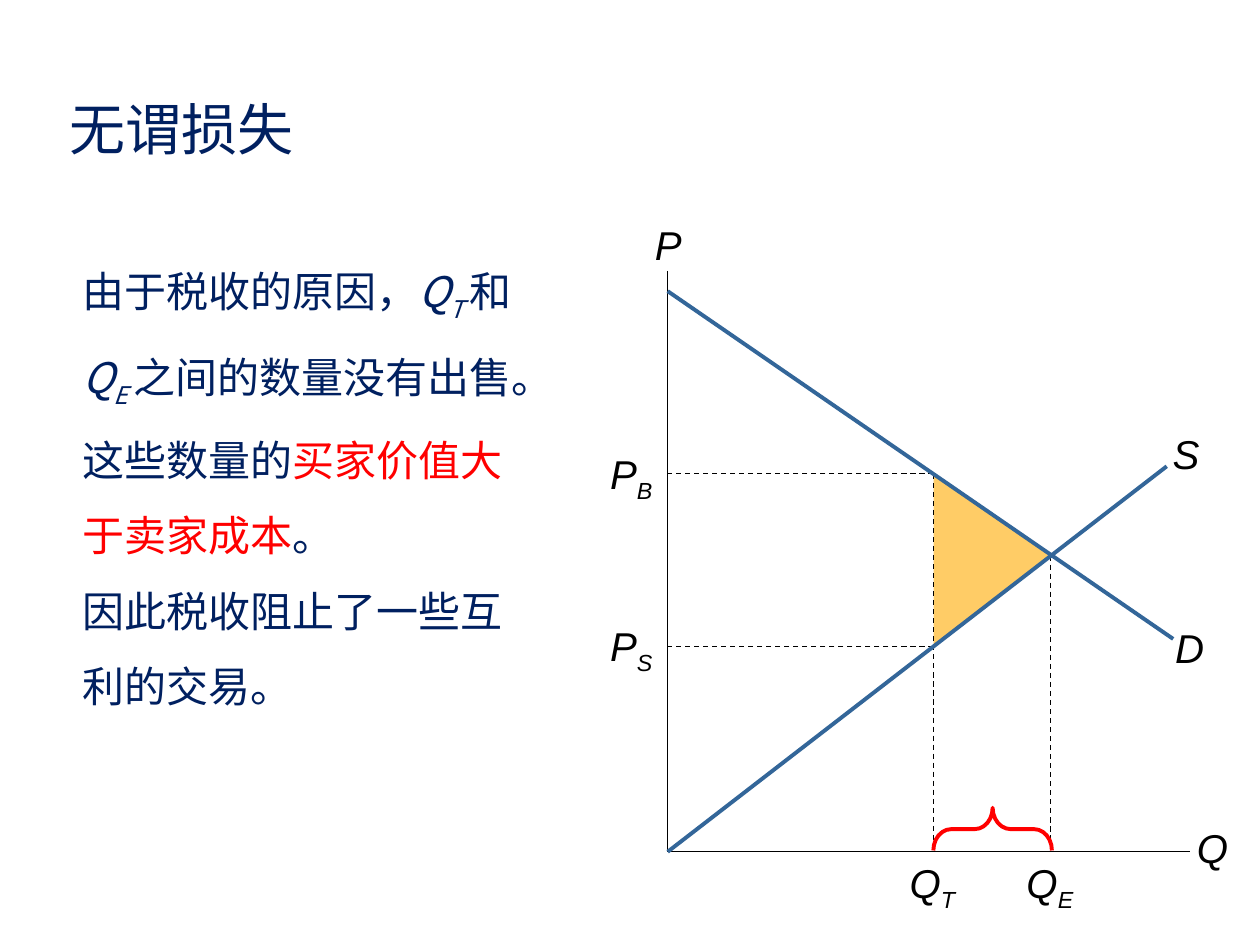
from lxml import etree
from pptx import Presentation
from pptx.dml.color import RGBColor
from pptx.enum.dml import MSO_LINE
from pptx.enum.shapes import MSO_CONNECTOR, MSO_SHAPE
from pptx.enum.text import MSO_ANCHOR, MSO_AUTO_SIZE, PP_ALIGN
from pptx.oxml.ns import qn
from pptx.util import Cm, Pt

STRAIGHT = MSO_CONNECTOR.STRAIGHT
DASH = MSO_LINE.DASH
TRIANGLE, BRACE = MSO_SHAPE.ISOSCELES_TRIANGLE, MSO_SHAPE.LEFT_BRACE
LEFT, CENTER = PP_ALIGN.LEFT, PP_ALIGN.CENTER
TOP = MSO_ANCHOR.TOP
NO_FIT = MSO_AUTO_SIZE.NONE

COLORS = {
    name: RGBColor.from_string(value)
    for name, value in {
        "navy": "002060",
        "red": "FF0000",
        "black": "000000",
        "curve": "336699",
        "loss": "FFCC66",
    }.items()
}
CHINESE, LATIN = "Noto Sans CJK SC", "Arial"

AXIS_X, AXIS_Y = 13.46, 17.17
TAX_Q, EQUAL_Q = 18.82, 21.18
BUYER_P, EQUAL_P, SELLER_P = 9.55, 11.2, 13.03


def write(para, pieces, size, face, color, align):
    para.alignment = align
    para.font.name = face
    para.font.size = Pt(size)
    para.font.color.rgb = COLORS[color]
    etree.SubElement(para.font._element, qn("a:ea"), typeface=face)
    for text, style in pieces:
        span = para.add_run()
        span.text = text
        if style in ("italic", "sub"):
            span.font.italic = True
        if style == "sub":
            span._r.get_or_add_rPr().set("baseline", "-25000")
        if style == "red":
            span.font.color.rgb = COLORS["red"]


def draw_line(start, end, color="black", width=0.75, dash=None):
    line = page.shapes.add_connector(STRAIGHT, *[Cm(v) for v in start + end])
    line.line.color.rgb = COLORS[color]
    line.line.width = Pt(width)
    if dash:
        line.line.dash_style = dash
    etree.SubElement(line._element.spPr, qn("a:effectLst"))


deck = Presentation()
deck.slide_width, deck.slide_height = Cm(25.4), Cm(19.05)
page = deck.slides.add_slide(deck.slide_layouts[5])

title = page.shapes.title
title.left, title.top, title.width, title.height = Cm(1.14), Cm(1.78), Cm(5.03), Cm(1.63)
title.text_frame.word_wrap = False
title.text_frame.auto_size = NO_FIT
title.text_frame.vertical_anchor = TOP
write(title.text_frame.paragraphs[0], [("无谓损失", "")], 32, CHINESE, "navy", LEFT)

body = page.shapes.add_textbox(Cm(1.42), Cm(4.65), Cm(9.68), Cm(9.47))
body.text_frame.word_wrap = True
statements = [
    [
        ("由于税收的原因，", ""), ("Q", "italic"), ("T ", "sub"), ("和 ", ""),
        ("Q", "italic"), ("E ", "sub"), ("之间的数量没有出售。", ""),
    ],
    [("这些数量的", ""), ("买家价值大于卖家成本", "red"), ("。", "")],
    [("因此税收阻止了一些互利的交易。", "")],
]
for index, pieces in enumerate(statements):
    para = body.text_frame.add_paragraph() if index else body.text_frame.paragraphs[0]
    para.line_spacing = 1.5
    write(para, pieces, 24, CHINESE, "navy", LEFT)

base, depth = SELLER_P - BUYER_P, EQUAL_Q - TAX_Q
center_x, center_y = (TAX_Q + EQUAL_Q) / 2, (BUYER_P + SELLER_P) / 2
loss = page.shapes.add_shape(
    TRIANGLE, Cm(center_x - base / 2), Cm(center_y - depth / 2), Cm(base), Cm(depth)
)
loss.rotation = 90
loss.adjustments[0] = 0.48
loss.shadow.inherit = False
loss.fill.solid()
loss.fill.fore_color.rgb = COLORS["loss"]
loss.line.fill.background()

draw_line((AXIS_X, 5.46), (AXIS_X, AXIS_Y))
draw_line((AXIS_X, AXIS_Y), (23.98, AXIS_Y))
for quantity, price in [(TAX_Q, BUYER_P), (EQUAL_Q, EQUAL_P)]:
    draw_line((quantity, price), (quantity, AXIS_Y), dash=DASH)
for price in (BUYER_P, SELLER_P):
    draw_line((TAX_Q, price), (AXIS_X, price), dash=DASH)
draw_line((AXIS_X, 5.87), (23.65, 12.88), "curve", 2.25)
draw_line((AXIS_X, AXIS_Y), (23.52, 9.4), "curve", 2.25)

labels = [
    ("P", "", 12.95, 4.32, 1.02),
    ("Q", "", 23.88, 16.48, 1.02),
    ("D", "", 23.44, 12.45, 1.02),
    ("S", "", 23.39, 8.53, 1.02),
    ("P", "S", 11.99, 12.4, 1.47),
    ("P", "B", 11.99, 8.94, 1.47),
    ("Q", "E", 20.35, AXIS_Y, 1.63),
    ("Q", "T", 17.98, AXIS_Y, 1.63),
]
for letter, subscript, left, top, width in labels:
    label = page.shapes.add_textbox(Cm(left), Cm(top), Cm(width), Cm(1.22))
    label.text_frame.word_wrap = True
    pieces = [(letter, "italic")] + ([(subscript, "sub")] if subscript else [])
    write(label.text_frame.paragraphs[0], pieces, 23, LATIN, "black", CENTER)

brace = page.shapes.add_shape(BRACE, Cm(19.58), Cm(15.52), Cm(0.86), Cm(2.39))
brace.rotation = 90
brace.adjustments[0], brace.adjustments[1] = 0.42, 0.5
brace.shadow.inherit = False
brace.fill.background()
brace.line.color.rgb = COLORS["red"]
brace.line.width = Pt(2.25)

deck.save("out.pptx")
